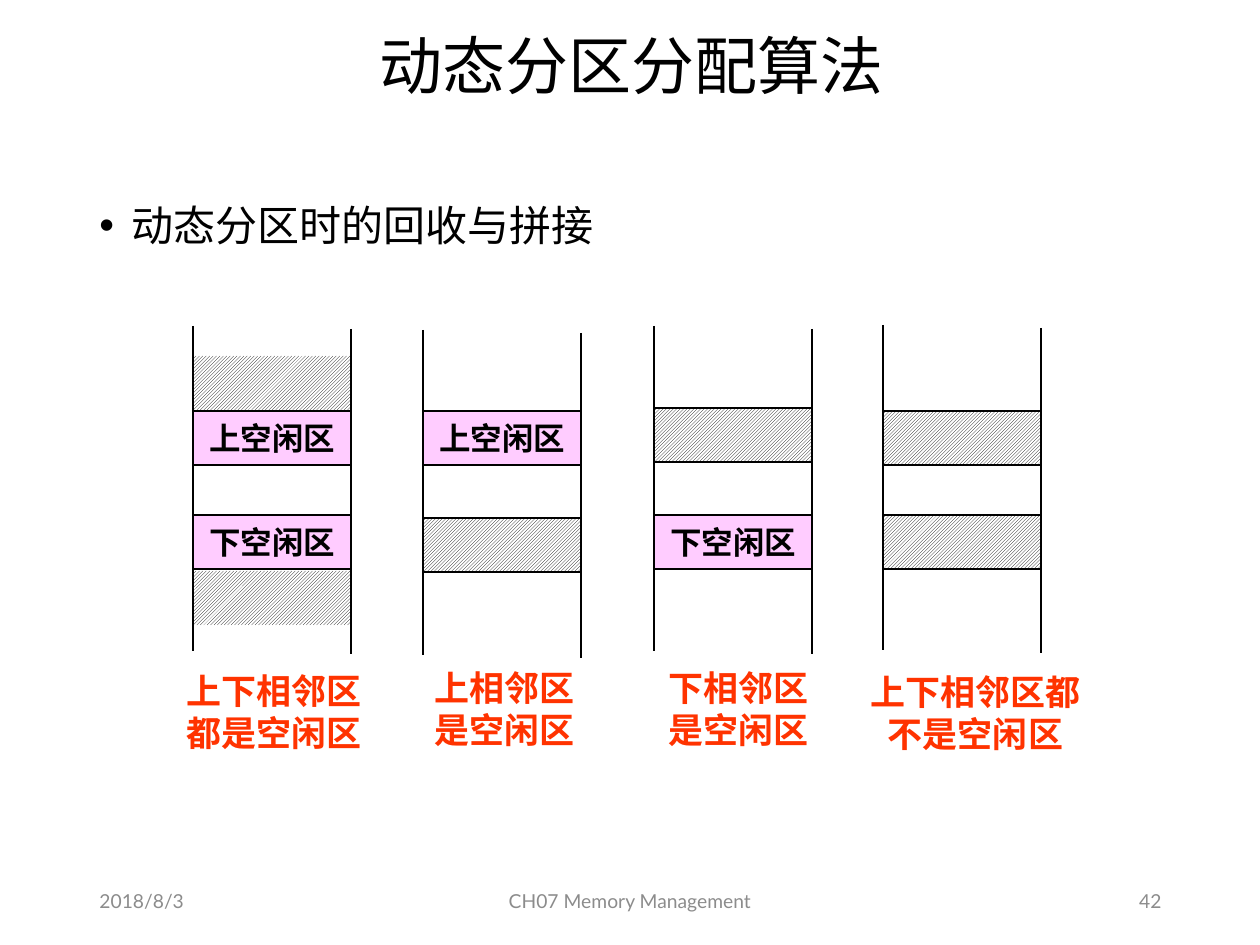
from dataclasses import dataclass

from lxml.etree import SubElement
from pptx import Presentation
from pptx.dml.color import RGBColor
from pptx.enum.dml import MSO_PATTERN as Pattern
from pptx.enum.shapes import MSO_CONNECTOR as Line, MSO_SHAPE as Shape
from pptx.enum.text import MSO_ANCHOR as Anchor, PP_ALIGN as Align
from pptx.oxml.ns import qn
from pptx.util import Emu, Pt

PX = 914400 // 126
CJK, LATIN = "Noto Sans CJK SC", "Lato"
BLACK, WHITE, PINK, RED, GREY = "000000", "FFFFFF", "FFCCFF", "FF3300", "8C8C8C"
BAR_W, BAR_H = 158, 54
RAIL_H, RAIL_DROP = 325, 3
UPPER, LOWER = "上空闲区", "下空闲区"


@dataclass
class Style:
    size: int
    color: str = BLACK
    name: str = CJK
    bold: bool = False
    align: Align = Align.LEFT
    anchor: Anchor = Anchor.TOP
    spacing: float = 1.0


@dataclass
class Label:
    text: str
    box: tuple[int, int, int, int]
    style: Style


@dataclass
class Bar:
    """One memory block; without text it is hatched."""
    top: int
    text: str = ""
    edge: bool = True


@dataclass
class Column:
    left: int
    top: int
    bars: list[Bar]
    note: Label


def px(*vals: int) -> list[Emu]:
    return [Emu(v * PX) for v in vals]


def rgb(code: str) -> RGBColor:
    return RGBColor.from_string(code)


def apply(target, values: dict) -> None:
    for key, value in values.items():
        setattr(target, key, value)


def write(frame, text: str, style: Style, wrap: bool = True):
    apply(frame, {"word_wrap": wrap, "vertical_anchor": style.anchor})
    para = frame.paragraphs[0]
    apply(para, {"alignment": style.align, "line_spacing": style.spacing})
    run = para.add_run()
    run.text = text
    font = run.font
    apply(font, {"size": Pt(style.size), "bold": style.bold, "name": style.name})
    font.color.rgb = rgb(style.color)
    SubElement(run._r.get_or_add_rPr(), qn("a:ea"), typeface=style.name)
    return para


def add_label(shapes, label: Label):
    box = shapes.add_textbox(*px(*label.box))
    return write(box.text_frame, label.text, label.style)


def add_bullet(para, indent: int) -> None:
    props = para._p.get_or_add_pPr()
    apply_indent = {"marL": indent * PX, "indent": -indent * PX}
    for key, value in apply_indent.items():
        props.set(key, str(value))
    SubElement(props, qn("a:buFont"), typeface="Arial")
    SubElement(props, qn("a:buChar"), char="•")


def add_bar(shapes, left: int, bar: Bar) -> None:
    rect = shapes.add_shape(Shape.RECTANGLE, *px(left, bar.top, BAR_W, BAR_H))
    rect.shadow.inherit = False
    if bar.text:
        rect.fill.solid()
        rect.fill.fore_color.rgb = rgb(PINK)
        write(rect.text_frame, bar.text, BLOCK, wrap=False)
    else:
        rect.fill.patterned()
        rect.fill.pattern = Pattern.DARK_UPWARD_DIAGONAL
        rect.fill.fore_color.rgb = rgb(BLACK)
        rect.fill.back_color.rgb = rgb(WHITE)
    if bar.edge:
        rect.line.color.rgb = rgb(BLACK)
        rect.line.width = Pt(0.75)
    else:
        rect.line.fill.background()


def add_rail(shapes, x: int, top: int) -> None:
    rail = shapes.add_connector(Line.STRAIGHT, *px(x, top, x, top + RAIL_H))
    rail.line.color.rgb = rgb(BLACK)
    rail.line.width = Pt(0.75)
    SubElement(rail._element.spPr, qn("a:effectLst"))


def add_column(shapes, col: Column) -> None:
    for bar in col.bars:
        add_bar(shapes, col.left, bar)
    add_rail(shapes, col.left, col.top)
    add_rail(shapes, col.left + BAR_W, col.top + RAIL_DROP)
    add_label(shapes, col.note)


def foot(align: Align) -> Style:
    return Style(11, GREY, LATIN, align=align, anchor=Anchor.MIDDLE)


BLOCK = Style(18, bold=True, align=Align.CENTER, anchor=Anchor.MIDDLE)
NOTE = Style(20, RED, bold=True)
NOTE_MID = Style(20, RED, bold=True, align=Align.CENTER)
TITLE = Label("动态分区分配算法", (89, 21, 1086, 96),
              Style(36, align=Align.CENTER, anchor=Anchor.MIDDLE, spacing=0.9))
BODY = Label("动态分区时的回收与拼接", (87, 181, 1086, 678), Style(24, spacing=1.25))
FEET = [
    Label("2018/8/3", (87, 876, 284, 50), foot(Align.LEFT)),
    Label("CH07 Memory Management", (417, 876, 426, 50), foot(Align.CENTER)),
    Label("42", (890, 876, 284, 50), foot(Align.RIGHT)),
]
COLUMNS = [
    Column(193, 326,
           [Bar(411, UPPER), Bar(515, LOWER), Bar(356, edge=False), Bar(571, edge=False)],
           Label("上下相邻区都是空闲区", (174, 663, 210, 97), NOTE)),
    Column(423, 330, [Bar(411, UPPER), Bar(518)],
           Label("上相邻区是空闲区", (422, 660, 168, 97), NOTE)),
    Column(654, 326, [Bar(515, LOWER), Bar(408)],
           Label("下相邻区是空闲区", (656, 660, 179, 97), NOTE)),
    Column(883, 325, [Bar(411), Bar(515)],
           Label("上下相邻区都不是空闲区", (852, 664, 247, 97), NOTE_MID)),
]


def main() -> None:
    deck = Presentation()
    deck.slide_width, deck.slide_height = px(1260, 945)
    shapes = deck.slides.add_slide(deck.slide_layouts[6]).shapes
    add_label(shapes, TITLE)
    add_bullet(add_label(shapes, BODY), 32)
    for label in FEET:
        add_label(shapes, label)
    for col in COLUMNS:
        add_column(shapes, col)
    deck.save("out.pptx")


if __name__ == "__main__":
    main()
